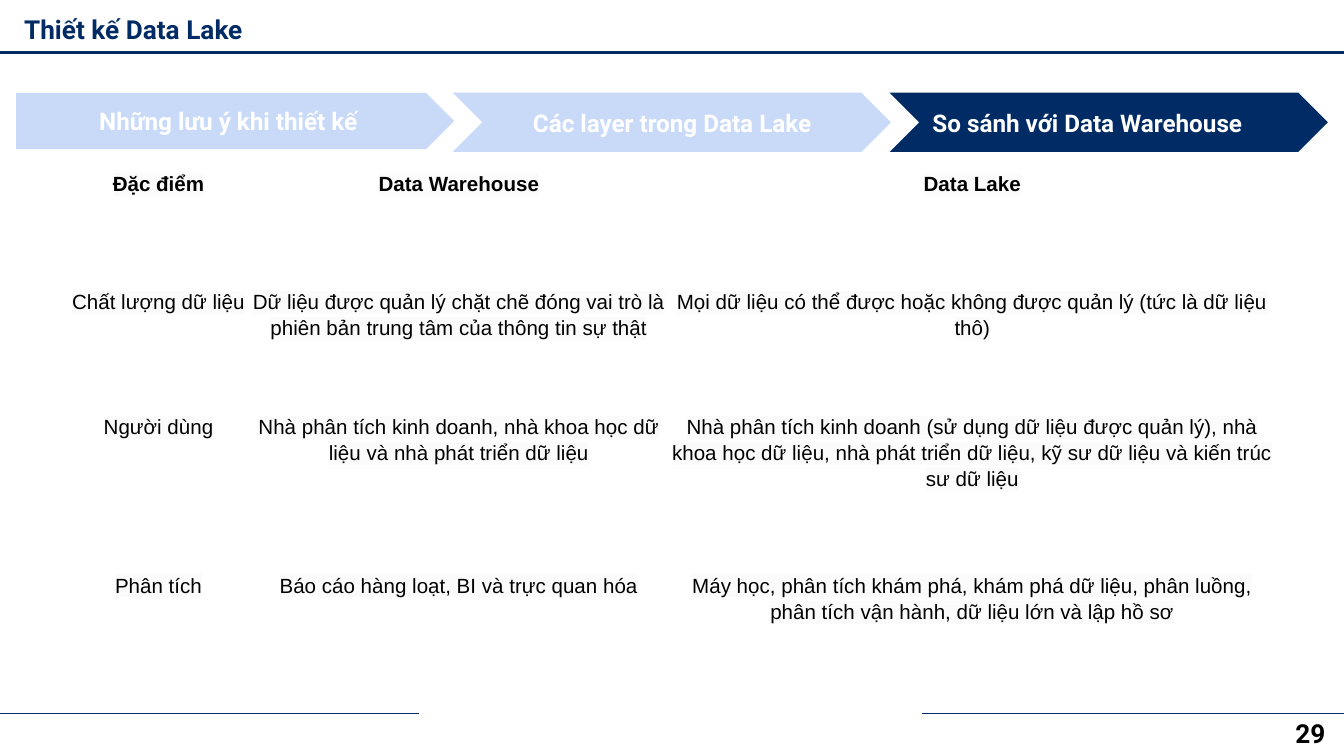
from dataclasses import dataclass

from lxml.etree import SubElement
from pptx import Presentation
from pptx.dml.color import RGBColor
from pptx.enum.shapes import MSO_CONNECTOR, MSO_SHAPE
from pptx.enum.text import MSO_ANCHOR, PP_ALIGN
from pptx.oxml import parse_xml
from pptx.oxml.ns import nsdecls, qn
from pptx.util import Inches, Pt


@dataclass(frozen=True)
class Theme:
    navy: str = "002B65"
    pale_blue: str = "C9DAF8"
    cell: str = "FBFBFB"
    white: str = "FFFFFF"
    black: str = "000000"
    heading_font: str = "Roboto"
    body_font: str = "Arial"
    title_size: float = 14
    step_size: float = 13
    body_size: float = 11


THEME = Theme()
WIDTH = 10
HEIGHT = WIDTH * 9 / 16
FOOTER_TOP = 5.31
FOOTER_LENGTH = 3.14
NO_STYLE_TABLE = "{2D5ABB26-0587-4C30-8999-92F81FD0307C}"

STEP_LEFT, STEP_TOP, STEP_WIDTH, STEP_PITCH = 0.12, 0.69, 3.26, 3.25
STEPS = [
    ("Những lưu ý khi thiết kế", MSO_SHAPE.PENTAGON, 0.42, THEME.pale_blue, PP_ALIGN.CENTER),
    ("Các layer trong Data Lake", MSO_SHAPE.CHEVRON, 0.44, THEME.pale_blue, PP_ALIGN.CENTER),
    ("So sánh với Data Warehouse", MSO_SHAPE.CHEVRON, 0.44, THEME.navy, PP_ALIGN.LEFT),
]

COLUMN_WIDTHS = [1.34, 3.13, 4.51]
ROW_HEIGHTS = [0.88, 0.93, 1.18, 0.93]
COMPARISON = [
    ["Đặc điểm", "Data Warehouse", "Data Lake"],
    [
        "Chất lượng dữ liệu",
        "Dữ liệu được quản lý chặt chẽ đóng vai trò là phiên bản trung tâm của thông tin sự thật",
        "Mọi dữ liệu có thể được hoặc không được quản lý (tức là dữ liệu thô)",
    ],
    [
        "Người dùng",
        "Nhà phân tích kinh doanh, nhà khoa học dữ liệu và nhà phát triển dữ liệu",
        "Nhà phân tích kinh doanh (sử dụng dữ liệu được quản lý), nhà khoa học dữ liệu, "
        "nhà phát triển dữ liệu, kỹ sư dữ liệu và kiến trúc sư dữ liệu",
    ],
    [
        "Phân tích",
        "Báo cáo hàng loạt, BI và trực quan hóa",
        "Máy học, phân tích khám phá, khám phá dữ liệu, phân luồng, phân tích vận hành, "
        "dữ liệu lớn và lập hồ sơ",
    ],
]


def write_text(frame, text, *, size, color, font=THEME.heading_font, bold=True,
               align=PP_ALIGN.LEFT, spacing=None, highlight=None):
    frame.word_wrap = True
    para = frame.paragraphs[0]
    para.alignment = align
    para.line_spacing = spacing
    span = para.add_run()
    span.text = text
    span.font.size = Pt(size)
    span.font.bold = bold
    span.font.color.rgb = RGBColor.from_string(color)
    if highlight:
        mark = parse_xml(f'<a:highlight {nsdecls("a")}><a:srgbClr val="{highlight}"/></a:highlight>')
        span.font.fill._xPr.find(qn("a:solidFill")).addnext(mark)
    span.font.name = font


def set_margins(holder, horizontal, vertical):
    holder.margin_left = holder.margin_right = Inches(horizontal)
    holder.margin_top = holder.margin_bottom = Inches(vertical)


def add_title(page, text):
    title = page.shapes.title
    title.left, title.top = Inches(0.08), 0
    title.width, title.height = Inches(8.13), Inches(0.44)
    frame = title.text_frame
    frame.vertical_anchor = MSO_ANCHOR.TOP
    set_margins(frame, 0.1, 0.1)
    write_text(frame, text, size=THEME.title_size, color=THEME.navy)


def add_page_number(page, number):
    box = page.shapes.add_textbox(Inches(WIDTH - 0.46), Inches(5.29), Inches(0.46), Inches(0.34))
    set_margins(box.text_frame, 0.1, 0.05)
    write_text(box.text_frame, number, size=THEME.title_size, color=THEME.black)


def add_rule(page, start, end, top, weight):
    rule = page.shapes.add_connector(
        MSO_CONNECTOR.STRAIGHT, Inches(start), Inches(top), Inches(end), Inches(top))
    rule.line.color.rgb = RGBColor.from_string(THEME.navy)
    rule.line.width = Pt(weight)
    SubElement(rule._element.spPr, qn("a:effectLst"))


def add_step(page, index, text, kind, height, fill, align):
    step = page.shapes.add_shape(
        kind, Inches(STEP_LEFT + index * STEP_PITCH), Inches(STEP_TOP),
        Inches(STEP_WIDTH), Inches(height))
    step.shadow.inherit = False
    step.fill.solid()
    step.fill.fore_color.rgb = RGBColor.from_string(fill)
    step.line.fill.background()
    step.text_frame.vertical_anchor = MSO_ANCHOR.MIDDLE
    set_margins(step.text_frame, 0.1, 0.1)
    write_text(step.text_frame, text, size=THEME.step_size, color=THEME.white, align=align)


def fill_clear(cell, color):
    """Give the cell a fully transparent fill, so only the text highlight shows."""
    cell.fill.solid()
    cell.fill.fore_color.rgb = RGBColor.from_string(color)
    shade = cell._tc.tcPr.find(qn("a:solidFill")).find(qn("a:srgbClr"))
    SubElement(shade, qn("a:alpha"), val="0")


def add_comparison(page, rows):
    frame = page.shapes.add_table(
        len(rows), len(COLUMN_WIDTHS), Inches(0.51), Inches(1.25),
        Inches(sum(COLUMN_WIDTHS)), Inches(sum(ROW_HEIGHTS)))
    table = frame.table
    table.first_row = table.horz_banding = False
    table._tbl.tblPr.find(qn("a:tableStyleId")).text = NO_STYLE_TABLE
    for column, width in zip(table.columns, COLUMN_WIDTHS):
        column.width = Inches(width)
    for row, height in zip(table.rows, ROW_HEIGHTS):
        row.height = Inches(height)
    for row_index, texts in enumerate(rows):
        for column_index, text in enumerate(texts):
            cell = table.cell(row_index, column_index)
            set_margins(cell, 0.01, 0.01)
            fill_clear(cell, THEME.cell)
            write_text(cell.text_frame, text, size=THEME.body_size, color=THEME.black,
                       font=THEME.body_font, bold=row_index == 0, align=PP_ALIGN.CENTER,
                       spacing=1.15, highlight=THEME.cell)


def main():
    deck = Presentation()
    deck.slide_width, deck.slide_height = Inches(WIDTH), Inches(HEIGHT)
    page = deck.slides.add_slide(deck.slide_layouts[5])
    add_rule(page, -0.01, WIDTH + 0.01, 0.39, 1.5)
    add_title(page, "Thiết kế Data Lake")
    add_page_number(page, "29")
    add_comparison(page, COMPARISON)
    for start in (-0.02, WIDTH - FOOTER_LENGTH):
        add_rule(page, start, start + FOOTER_LENGTH, FOOTER_TOP, 0.75)
    for index, step in enumerate(STEPS):
        add_step(page, index, *step)
    deck.save("out.pptx")


if __name__ == "__main__":
    main()
